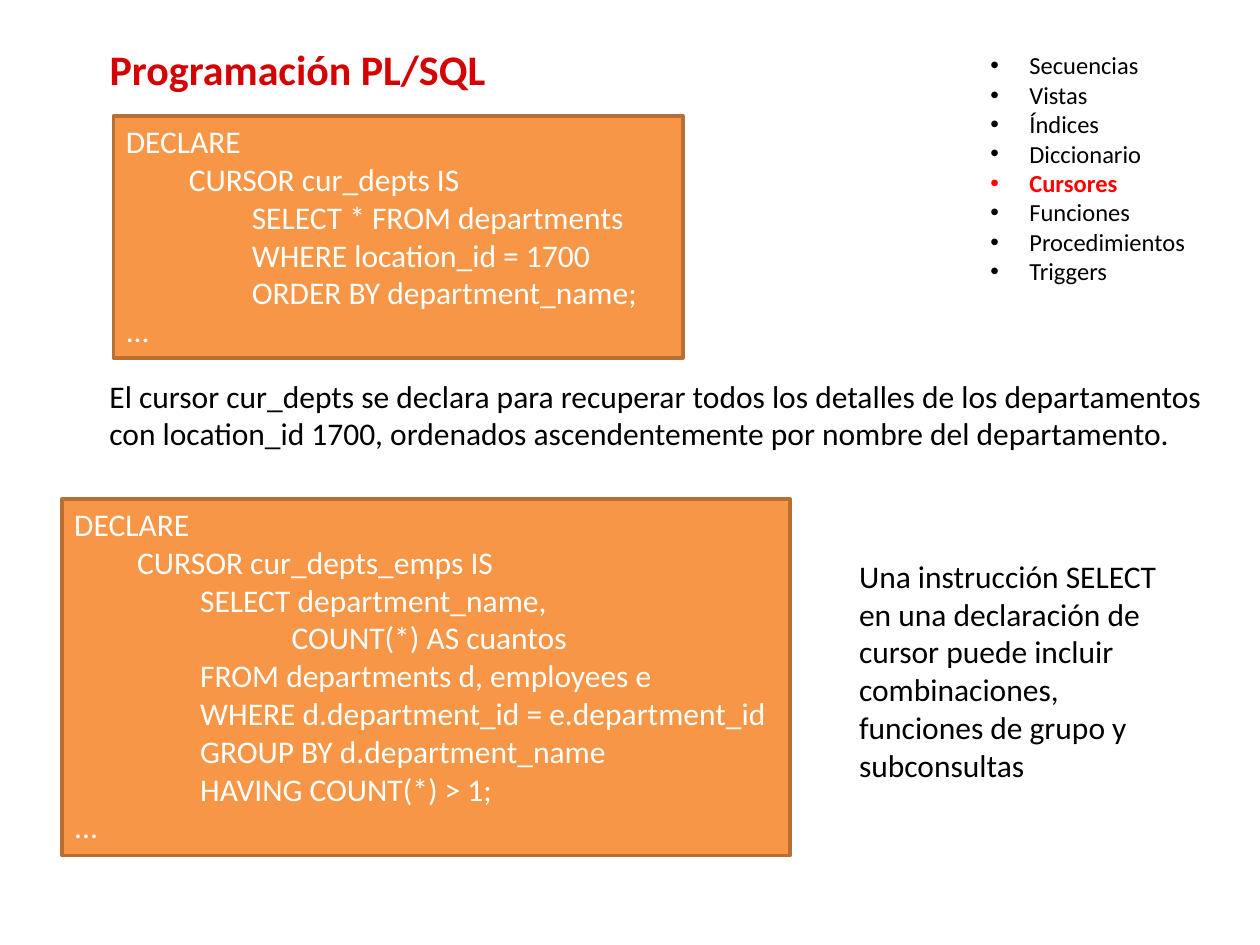
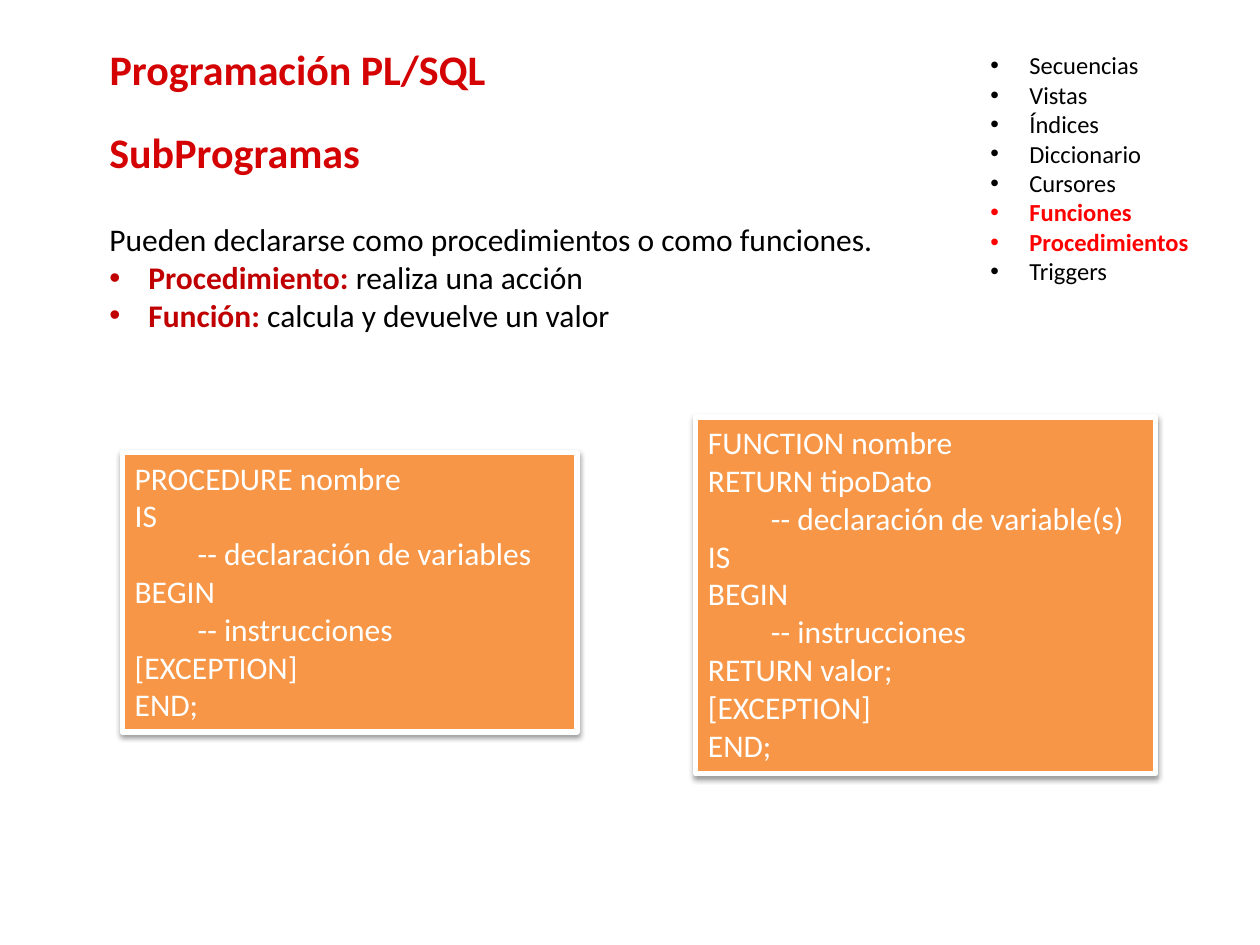
from lxml import etree
from pptx import Presentation
from pptx import util as u
from pptx.dml.color import RGBColor
from pptx.enum import shapes, text
from pptx.oxml.ns import qn

COLORS = {
    "title": "D40202",
    "current": "FF0000",
    "term": "C00000",
    "body": "000000",
    "panel": "F79646",
    "panel_edge": "B76F34",
    "white": "FFFFFF",
}
FONT = "Calibri"
TOPICS = ["Secuencias", "Vistas", "Índices", "Diccionario", "Cursores",
          "Funciones", "Procedimientos", "Triggers"]
TAB = 0.5
HANG = 0.31


def style(font, size, color, bold=False):
    font.name = FONT
    font.size = u.Pt(size)
    font.bold = bold
    font.color.rgb = RGBColor.from_string(COLORS[color])


def add_bullet(paragraph, color):
    props = paragraph._p.get_or_add_pPr()
    props.set("marL", str(u.Inches(HANG)))
    props.set("indent", str(-u.Inches(HANG)))
    tint = etree.SubElement(props, qn("a:buClr"))
    etree.SubElement(tint, qn("a:srgbClr"), val=COLORS[color])
    etree.SubElement(props, qn("a:buFont"), typeface="Arial")
    etree.SubElement(props, qn("a:buChar"), char="•")


lessons = [
    {
        "current": ["Cursores"],
        "notes": [
            ((0.77, 2.94, 8.97, 0.71),
             ["El cursor cur_depts se declara para recuperar todos los detalles "
              "de los departamentos con location_id 1700, ordenados "
              "ascendentemente por nombre del departamento."]),
            ((6.72, 4.37, 2.63, 1.92),
             ["Una instrucción SELECT en una declaración de cursor puede incluir "
              "combinaciones, funciones de grupo y subconsultas"]),
        ],
        "edge": ("panel_edge", 2),
        "raised": False,
        "code": [
            ((0.9, 0.92, 4.52, 1.92), [
                (0, "DECLARE"),
                (1, "CURSOR cur_depts IS"),
                (2, "SELECT * FROM departments"),
                (2, "WHERE location_id = 1700"),
                (2, "ORDER BY department_name;"),
                (0, "..."),
            ]),
            ((0.49, 3.96, 5.78, 2.83), [
                (0, "DECLARE"),
                (1, "CURSOR cur_depts_emps IS"),
                (2, "SELECT department_name,"),
                (3.45, "COUNT(*) AS cuantos"),
                (2, "FROM departments d, employees e"),
                (2, "WHERE d.department_id = e.department_id"),
                (2, "GROUP BY d.department_name"),
                (2, "HAVING COUNT(*) > 1;"),
                (0, "..."),
            ]),
        ],
    },
    {
        "current": ["Funciones", "Procedimientos"],
        "subtitle": "SubProgramas",
        "notes": [
            ((0.77, 1.7, 6.44, 1.01),
             ["Pueden declararse como procedimientos o como funciones.",
              ("Procedimiento:", " realiza una acción"),
              ("Función:", " calcula y devuelve un valor")]),
        ],
        "edge": ("white", 3),
        "raised": True,
        "code": [
            ((0.97, 3.59, 3.61, 2.22), [
                (0, "PROCEDURE nombre"),
                (0, "IS"),
                (1, "-- declaración de variables"),
                (0, "BEGIN"),
                (1, "-- instrucciones"),
                (0, "[EXCEPTION]"),
                (0, "END;"),
            ]),
            ((5.52, 3.31, 3.65, 2.83), [
                (0, "FUNCTION nombre"),
                (0, "RETURN tipoDato"),
                (1, "-- declaración de variable(s)"),
                (0, "IS"),
                (0, "BEGIN"),
                (1, "-- instrucciones"),
                (0, "RETURN valor;"),
                (0, "[EXCEPTION]"),
                (0, "END;"),
            ]),
        ],
    },
]

deck = Presentation()
deck.slide_width = u.Inches(10)
deck.slide_height = u.Inches(7.5)

for lesson in lessons:
    slide = deck.slides.add_slide(deck.slide_layouts[1])

    title = slide.shapes.title
    title.left, title.top, title.width, title.height = map(u.Inches, (0.77, 0.19, 4, 0.71))
    headings = [(title, "Programación PL/SQL")]
    if "subtitle" in lesson:
        subtitle = slide.shapes.add_textbox(*map(u.Inches, (0.77, 0.85, 4, 0.71)))
        headings.append((subtitle, lesson["subtitle"]))
    for heading, wording in headings:
        frame = heading.text_frame
        frame.text = wording
        frame.word_wrap = True
        frame.auto_size = text.MSO_AUTO_SIZE.NONE
        frame.vertical_anchor = text.MSO_ANCHOR.MIDDLE
        frame.paragraphs[0].alignment = text.PP_ALIGN.LEFT
        style(frame.paragraphs[0].font, 24, "title", True)

    agenda = slide.placeholders[1]
    agenda.left, agenda.top, agenda.width, agenda.height = map(u.Inches, (7.76, 0.35, 1.86, 1.99))
    agenda.text_frame.text = "\n".join(TOPICS)
    agenda.text_frame.auto_size = text.MSO_AUTO_SIZE.NONE
    for topic in agenda.text_frame.paragraphs:
        is_current = topic.text in lesson["current"]
        color = "current" if is_current else "body"
        topic.space_before = u.Pt(0)
        add_bullet(topic, color)
        style(topic.font, 14, color, is_current)

    for box, sentences in lesson["notes"]:
        note = slide.shapes.add_textbox(*map(u.Inches, box)).text_frame
        note.word_wrap = True
        for i, sentence in enumerate(sentences):
            line = note.paragraphs[0] if i == 0 else note.add_paragraph()
            if isinstance(sentence, str):
                line.text = sentence
                style(line.font, 18, "body")
                continue
            add_bullet(line, "term")
            for wording, color in zip(sentence, ("term", "body")):
                part = line.add_run()
                part.text = wording
                style(part.font, 18, color, color == "term")

    edge_color, edge_width = lesson["edge"]
    for box, statements in lesson["code"]:
        panel = slide.shapes.add_shape(shapes.MSO_SHAPE.RECTANGLE, *map(u.Inches, box))
        panel.fill.solid()
        panel.fill.fore_color.rgb = RGBColor.from_string(COLORS["panel"])
        panel.line.color.rgb = RGBColor.from_string(COLORS[edge_color])
        panel.line.width = u.Pt(edge_width)
        panel.shadow.inherit = False
        if lesson["raised"]:
            effects = panel._element.spPr.find(qn("a:effectLst"))
            shadow = etree.SubElement(effects, qn("a:outerShdw"), blurRad=str(u.Pt(3.1)),
                                      dist=str(u.Pt(1.6)), dir="5400000", rotWithShape="0")
            tint = etree.SubElement(shadow, qn("a:srgbClr"), val=COLORS["body"])
            etree.SubElement(tint, qn("a:alpha"), val="38000")
        frame = panel.text_frame
        frame.word_wrap = True
        frame.vertical_anchor = text.MSO_ANCHOR.TOP
        frame.text = "\n".join(statement for _, statement in statements)
        for line, (depth, _) in zip(frame.paragraphs, statements):
            line.alignment = text.PP_ALIGN.LEFT
            line._p.get_or_add_pPr().set("marL", str(u.Inches(depth * TAB)))
            style(line.font, 18, "white")

deck.save("out.pptx")
